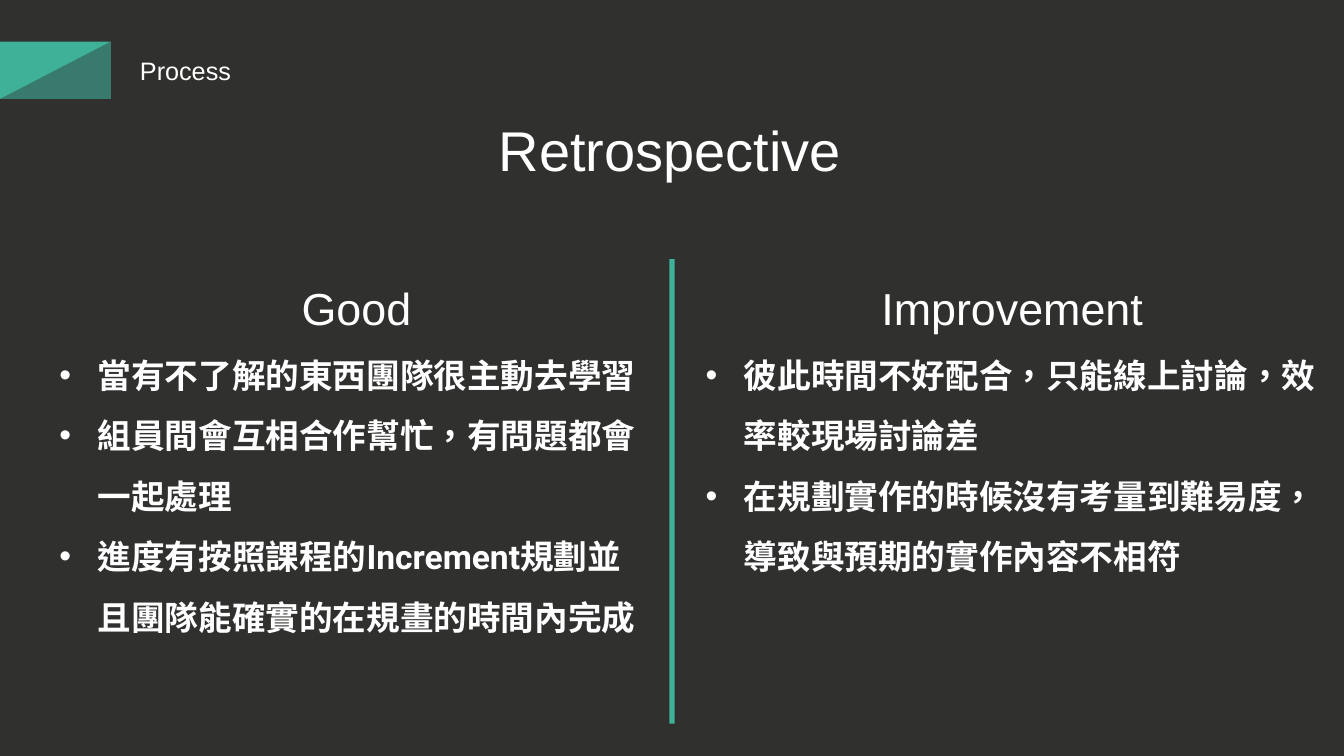
from lxml.etree import SubElement
from pptx import Presentation
from pptx.dml.color import RGBColor as Color
from pptx.enum.lang import MSO_LANGUAGE_ID as Lang
from pptx.enum.shapes import MSO_SHAPE as Kind
from pptx.enum.text import MSO_AUTO_SIZE as Fit, PP_ALIGN as Align
from pptx.oxml.ns import qn
from pptx.util import Inches, Pt

DARK = Color(0x30, 0x30, 0x2F)
GREEN = Color(0x3E, 0xB1, 0x98)
WHITE = Color(0xFF, 0xFF, 0xFF)


class Deck:
    head = "Arial"
    body = "Roboto"
    dent = Inches(0.38)

    def __init__(self):
        self.show = Presentation()
        self.show.slide_width = Inches(13.33)
        self.show.slide_height = Inches(7.5)
        self.slide = self.show.slides.add_slide(self.show.slide_layouts[6])
        fill = self.slide.background.fill
        fill.solid()
        fill.fore_color.rgb = DARK

    def area(self, x, y, w, h):
        wide, high = self.show.slide_width, self.show.slide_height
        return [int(share * side / 100) for share, side in
                zip((x, y, w, h), (wide, high, wide, high))]

    def block(self, kind, box, color, alpha=None, flip=False):
        shape = self.slide.shapes.add_shape(kind, *self.area(*box))
        shape.shadow.inherit = False
        shape.line.fill.background()
        shape.fill.solid()
        shape.fill.fore_color.rgb = color
        props = shape._element.spPr
        if alpha:
            tint = props.find(qn("a:solidFill"))[0]
            SubElement(tint, qn("a:alpha"), val=str(alpha * 1000))
        if flip:
            props.find(qn("a:xfrm")).set("flipH", "1")

    def frame(self, box, wrap):
        frame = self.slide.shapes.add_textbox(*self.area(*box)).text_frame
        frame.word_wrap = wrap
        frame.auto_size = Fit.SHAPE_TO_FIT_TEXT
        return frame

    def words(self, para, text, size, face):
        para.text = text
        font = para.font
        font.name, font.size = face, Pt(size)
        font.color.rgb = WHITE

    def label(self, box, text, size):
        para = self.frame(box, False).paragraphs[0]
        self.words(para, text, size, self.head)

    def point(self, para, text):
        self.words(para, text, 24, self.body)
        para.font.bold = True
        para.font.language_id = Lang.TRADITIONAL_CHINESE
        para.line_spacing = 1.5
        props = para._p.get_or_add_pPr()
        props.set("marL", str(self.dent))
        props.set("indent", str(-self.dent))
        mark = props.makeelement(qn("a:buChar"), {"char": "•"})
        face = props.makeelement(qn("a:buFont"), {"typeface": self.head})
        props.find(qn("a:defRPr")).addprevious(face)
        face.addnext(mark)

    def panel(self, box, title, points):
        frame = self.frame(box, True)
        para = frame.paragraphs[0]
        self.words(para, title, 32, self.head)
        para.alignment = Align.CENTER
        para.line_spacing = 1.5
        for text in points:
            self.point(frame.add_paragraph(), text)


def main():
    deck = Deck()
    flag = (0, 5.5, 8.25, 7.6)
    deck.block(Kind.RECTANGLE, flag, GREEN)
    deck.block(Kind.RIGHT_TRIANGLE, flag, DARK, alpha=42, flip=True)
    deck.label((9.68, 6.67, 8.33, 5.33), "Process", 18)
    deck.label((36.38, 14.67, 27.23, 10.27), "Retrospective", 40)
    deck.panel((3.68, 32.93, 45.69, 51.6), "Good", [
        "當有不了解的東西團隊很主動去學習",
        "組員間會互相合作幫忙，有問題都會一起處理",
        "進度有按照課程的Increment規劃並且團隊能確實的在規畫的時間內完成",
    ])
    deck.panel((51.76, 32.93, 47.11, 43.47), "Improvement", [
        "彼此時間不好配合，只能線上討論，效率較現場討論差",
        "在規劃實作的時候沒有考量到難易度，導致與預期的實作內容不相符",
    ])
    deck.block(Kind.RECTANGLE, (49.81, 34.27, 0.38, 61.47), GREEN)
    deck.show.save("out.pptx")


if __name__ == "__main__":
    main()
